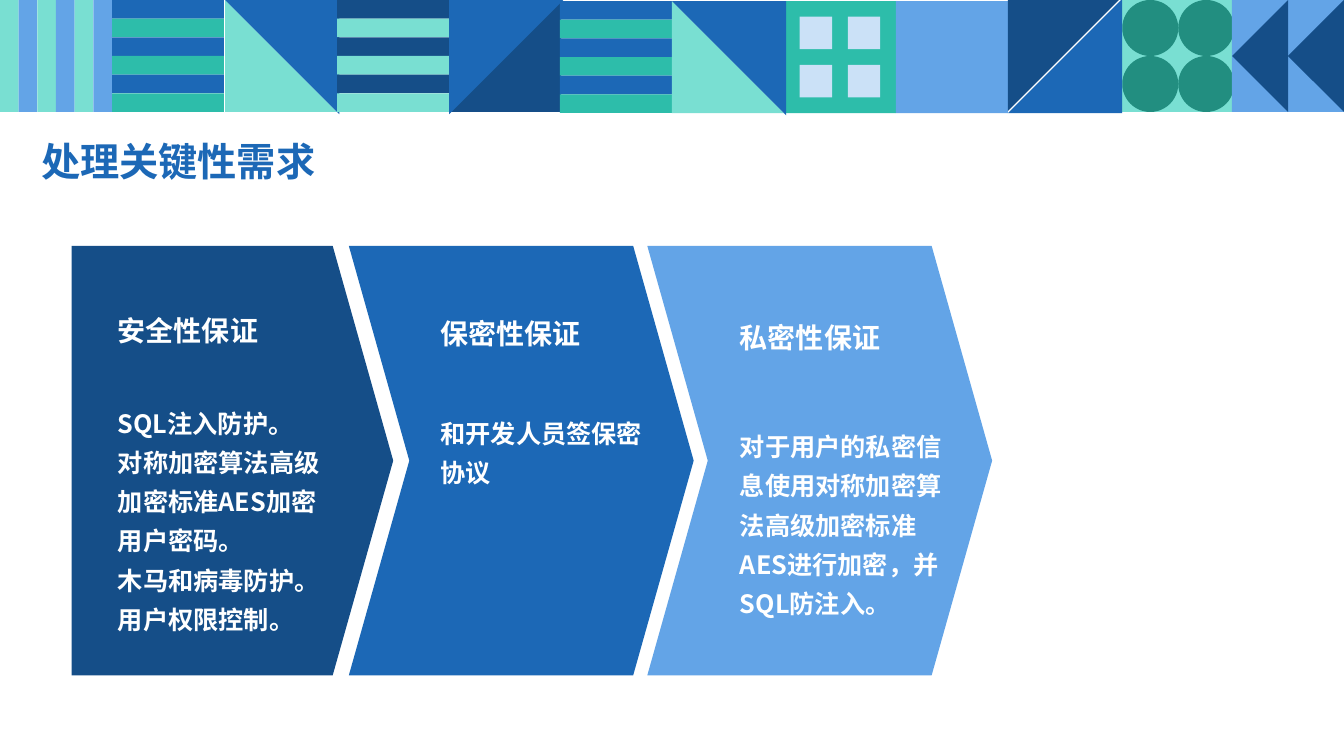
from pptx import Presentation
from pptx.dml.color import RGBColor
from pptx.enum.shapes import MSO_SHAPE
from pptx.enum.text import MSO_ANCHOR
from pptx.oxml.ns import qn
from pptx.util import Inches, Pt
from lxml.etree import SubElement

WIDTH, HEIGHT = 13.33, 7.5
TILE = WIDTH / 12

NAVY = RGBColor(0x15, 0x4E, 0x88)
BLUE = RGBColor(0x1C, 0x68, 0xB6)
SKY = RGBColor(0x63, 0xA4, 0xE7)
PALE = RGBColor(0xCB, 0xE1, 0xF7)
MINT = RGBColor(0x79, 0xDF, 0xD2)
TEAL = RGBColor(0x2D, 0xBD, 0xAA)
GREEN = RGBColor(0x22, 0x8E, 0x80)
WHITE = RGBColor(0xFF, 0xFF, 0xFF)

LATIN_FONT = "Arial Narrow"
CJK_FONT = "Noto Sans CJK SC"


def add_block(slide, kind, box, color, rotation=0):
    sp = slide.shapes.add_shape(kind, *(Inches(v) for v in box))
    sp.shadow.inherit = False
    sp.fill.solid()
    sp.fill.fore_color.rgb = color
    sp.line.fill.background()
    sp.rotation = rotation
    return sp


def add_text(slide, box, paragraphs, spacing, color=WHITE, font=CJK_FONT):
    """Write paragraphs given as (text, size, space before)."""
    tf = slide.shapes.add_textbox(*(Inches(v) for v in box)).text_frame
    tf.word_wrap = True
    for i, (text, size, before) in enumerate(paragraphs):
        p = tf.paragraphs[0] if i == 0 else tf.add_paragraph()
        p.text = text
        p.line_spacing = spacing
        p.space_before = Pt(before)
        r = p.runs[0]
        r.font.size = Pt(size)
        r.font.bold = True
        r.font.color.rgb = color
        r.font.name = font
        SubElement(r.font._element, qn("a:ea"), typeface=CJK_FONT)
    return tf


def rows_tile(slide, x, y, colors):
    step = TILE / 6
    for i in range(6):
        add_block(slide, MSO_SHAPE.RECTANGLE, (x, y + i * step, TILE, step), colors[i % 2])


def columns_tile(slide, x, y, colors):
    step = TILE / 6
    for i in range(6):
        add_block(slide, MSO_SHAPE.RECTANGLE, (x + i * step, y, step, TILE), colors[i % 2])


def diagonal_tile(slide, x, y, colors, rotation):
    """Two right triangles, the upper one slightly larger to hide the seam."""
    for color, scale, turn in ((colors[0], 1, 0), (colors[1], 1.02, 180)):
        size = TILE * scale
        add_block(slide, MSO_SHAPE.RIGHT_TRIANGLE, (x, y, size, size), color,
                  (rotation + turn) % 360)


def plain_tile(slide, x, y, color):
    add_block(slide, MSO_SHAPE.RECTANGLE, (x, y, TILE, TILE), color)


def quad_tile(slide, x, y, colors, kind, start, step, size):
    """Four marks in two rows; start, step and size are shares of the tile."""
    plain_tile(slide, x, y, colors[0])
    for row in range(2):
        for col in range(2):
            left = x + (start[0] + col * step) * TILE
            top = y + (start[1] + row * step) * TILE
            add_block(slide, kind, (left, top, size * TILE, size * TILE), colors[1])


def arrows_tile(slide, x, y, colors):
    plain_tile(slide, x, y, colors[0])
    for i in range(2):
        left = x + (i / 2 - 0.25) * TILE
        add_block(slide, MSO_SHAPE.ISOSCELES_TRIANGLE,
                  (left, y + TILE / 4, TILE, TILE / 2), colors[1], 270)


def add_banner(slide):
    """Each tile: drawing function, column, row, and its own settings."""
    tiles = [
        (rows_tile, 1, 0, (BLUE, TEAL)),
        (diagonal_tile, 2.01, 0, (MINT, BLUE), 0),
        (columns_tile, 0, 0, (MINT, SKY)),
        (rows_tile, 3.01, 0, (NAVY, MINT)),
        (quad_tile, 7, 0.01, (TEAL, PALE), MSO_SHAPE.RECTANGLE, (0.14, 0.14), 0.43, 0.29),
        (plain_tile, 8, 0.01, SKY),
        (quad_tile, 10.01, 0, (MINT, GREEN), MSO_SHAPE.OVAL, (0.01, 0), 0.5, 0.5),
        (diagonal_tile, 9, -0.01, (NAVY, BLUE), 90),
        (diagonal_tile, 4.01, 0, (NAVY, BLUE), 270),
        (arrows_tile, 11, 0, (SKY, NAVY)),
        (rows_tile, 5, 0.01, (BLUE, TEAL)),
        (diagonal_tile, 6, 0.01, (MINT, BLUE), 0),
    ]
    for draw, col, row, *settings in tiles:
        draw(slide, col * TILE, row * TILE, *settings)


def add_title(slide, box, text):
    tf = add_text(slide, box, [(text, 28, 10)], 0.9, BLUE, LATIN_FONT)
    tf.vertical_anchor = MSO_ANCHOR.MIDDLE


def add_panel(slide, box, kind, color, indent, texts):
    """An arrow panel; texts hold (offset, height, line spacing, font, paragraphs)."""
    left, top, width, height = box
    sp = add_block(slide, kind, box, color)
    sp.adjustments[0] = 0.6 / width
    for offset, text_height, spacing, font, paragraphs in texts:
        add_text(slide, (left + indent, top + offset, 2.31, text_height),
                 paragraphs, spacing, font=font)


def add_panels(slide, top, height):
    security = [(0.52, 3.51, 1.3, CJK_FONT, [
        ("安全性保证", 20, 0),
        ("SQL注入防护。", 18, 37),
        ("对称加密算法高级加密标准AES加密用户密码。", 18, 0),
        ("木马和病毒防护。", 18, 0),
        ("用户权限控制。", 18, 0)])]
    secrecy = [
        (1.57, 0.89, 1.3, CJK_FONT, [("和开发人员签保密协议", 18, 0)]),
        (0.48, 0.6, 1.5, LATIN_FONT, [("保密性保证", 20, 0)])]
    privacy = [
        (1.7, 2.07, 1.3, CJK_FONT,
         [("对于用户的私密信息使用对称加密算法高级加密标准AES进行加密，并SQL防注入。", 18, 0)]),
        (0.52, 0.6, 1.5, LATIN_FONT, [("私密性保证", 20, 0)])]
    panels = [
        (0.71, 3.19, MSO_SHAPE.PENTAGON, NAVY, 0.36, security),
        (3.46, 3.42, MSO_SHAPE.CHEVRON, BLUE, 0.81, secrecy),
        (6.42, 3.42, MSO_SHAPE.CHEVRON, SKY, 0.82, privacy),
    ]
    for left, width, *settings in panels:
        add_panel(slide, (left, top, width, height), *settings)


def main():
    prs = Presentation()
    prs.slide_width, prs.slide_height = Inches(WIDTH), Inches(HEIGHT)
    slide = prs.slides.add_slide(prs.slide_layouts[6])
    add_banner(slide)
    add_title(slide, (0.31, 1.31, 3.84, 0.63), "处理关键性需求")
    add_panels(slide, 2.44, 4.26)
    prs.save("out.pptx")


if __name__ == "__main__":
    main()
